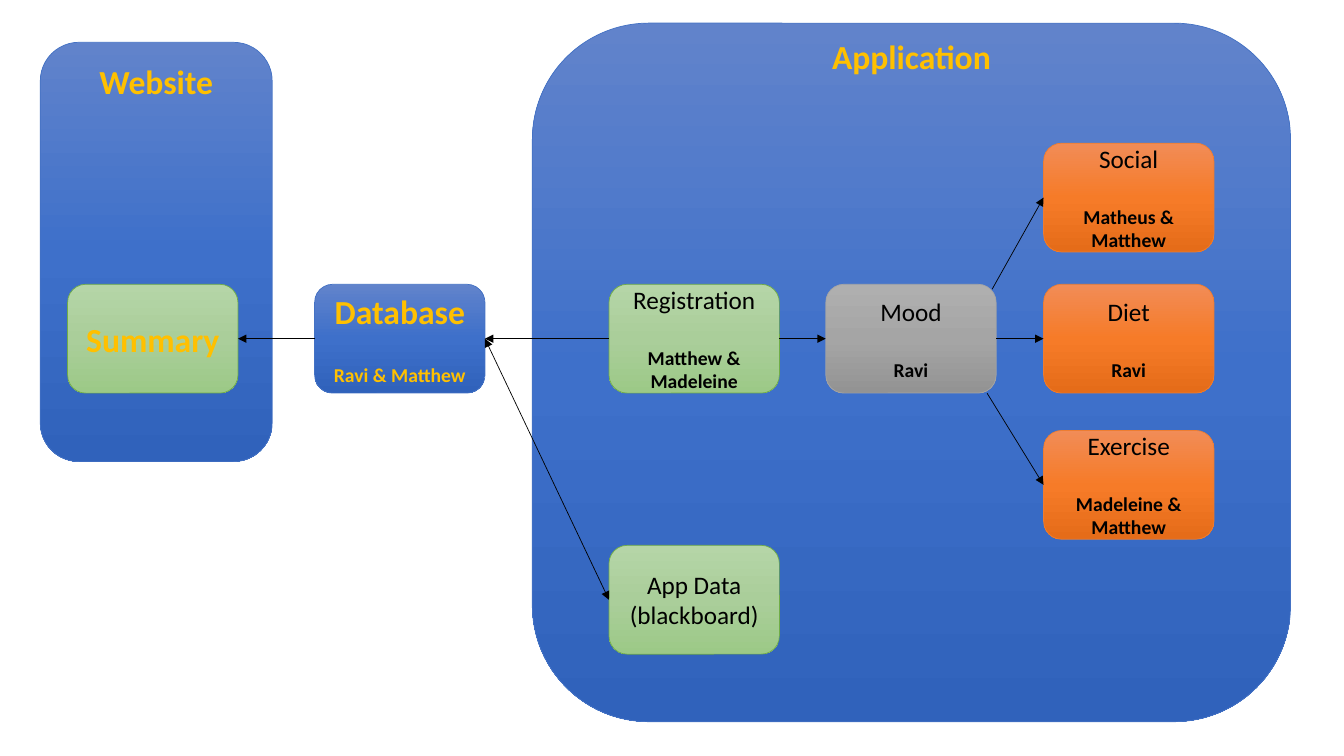
from copy import deepcopy
from dataclasses import dataclass

from lxml.etree import SubElement
from pptx import Presentation
from pptx.dml.color import RGBColor
from pptx.enum.shapes import MSO_CONNECTOR, MSO_SHAPE
from pptx.enum.text import MSO_ANCHOR, PP_ALIGN
from pptx.oxml.ns import qn
from pptx.shapes.autoshape import Shape
from pptx.slide import Slide
from pptx.util import Inches, Pt

BLACK = RGBColor(0x00, 0x00, 0x00)
GOLD = RGBColor(0xFF, 0xC0, 0x00)
CARD_WIDTH, CARD_HEIGHT = 1.69, 1.08
MAIN_ROW = 2.82
SCREEN_COLUMN = 10.35
RIGHT, LEFT = 3, 1


@dataclass(frozen=True)
class Palette:
    stops: tuple[RGBColor, RGBColor, RGBColor]
    border: RGBColor


def palette(top: str, middle: str, bottom: str, border: str) -> Palette:
    stops = tuple(RGBColor.from_string(code) for code in (top, middle, bottom))
    return Palette(stops, RGBColor.from_string(border))


BLUE = palette("6183CB", "3E70CA", "3062BB", "4472C4")
GREEN = palette("B5D5A7", "AACE9A", "9CC987", "70AD47")
GRAY = palette("AFAFAF", "A5A5A5", "939393", "A5A5A5")
ORANGE = palette("F18C57", "F67B28", "E56C19", "ED7D31")


@dataclass(frozen=True)
class Group:
    title: str
    left: float
    top: float
    width: float
    height: float
    title_top: float


@dataclass(frozen=True)
class Card:
    title: str
    left: float
    top: float
    colors: Palette
    owners: str = ""
    subtitle: str = ""
    highlighted: bool = False


@dataclass(frozen=True)
class Arrow:
    """An arrow from the right or left side of one card to a side of another."""
    source: str
    source_side: int
    target: str
    target_side: int
    start: tuple[float, float] | None = None
    both_ways: bool = False


GROUPS = [
    Group("Application", 5.28, 0.23, 7.52, 6.93, 0.36),
    Group("Website", 0.4, 0.42, 2.3, 4.16, 0.6),
]
CARDS = [
    Card("Registration", 6.04, MAIN_ROW, GREEN, "Matthew & Madeleine"),
    Card("Mood", 8.19, MAIN_ROW, GRAY, "Ravi"),
    Card("Diet", SCREEN_COLUMN, MAIN_ROW, ORANGE, "Ravi"),
    Card("Social", SCREEN_COLUMN, 1.42, ORANGE, "Matheus & Matthew"),
    Card("Exercise", SCREEN_COLUMN, 4.27, ORANGE, "Madeleine & Matthew"),
    Card("Database", 3.12, MAIN_ROW, BLUE, "Ravi & Matthew", highlighted=True),
    Card("Summary", 0.67, MAIN_ROW, GREEN, highlighted=True),
    Card("App Data", 6.04, 5.41, GREEN, subtitle="(blackboard)"),
]
ARROWS = [
    Arrow("Database", LEFT, "Summary", RIGHT),
    Arrow("Registration", RIGHT, "Mood", LEFT),
    Arrow("Mood", RIGHT, "Diet", LEFT),
    Arrow("Mood", RIGHT, "Social", LEFT, start=(9.84, 2.87)),
    Arrow("Mood", RIGHT, "Exercise", LEFT, start=(9.79, 3.9)),
    Arrow("Registration", LEFT, "Database", RIGHT),
    Arrow("Database", RIGHT, "App Data", LEFT, both_ways=True),
]


def add_panel(slide: Slide, left: float, top: float, width: float, height: float,
              colors: Palette) -> Shape:
    """Add a rounded rectangle with a vertical three-stop gradient."""
    panel = slide.shapes.add_shape(MSO_SHAPE.ROUNDED_RECTANGLE, Inches(left), Inches(top),
                                   Inches(width), Inches(height))
    panel.shadow.inherit = False
    panel.fill.gradient()
    panel.fill.gradient_angle = 270
    stop_list = panel._element.spPr.find(qn("a:gradFill")).find(qn("a:gsLst"))
    stop_list.insert(1, deepcopy(stop_list[0]))
    for stop, color, position in zip(panel.fill.gradient_stops, colors.stops, (0, 0.5, 1)):
        stop.color.rgb = color
        stop.position = position
    panel.line.color.rgb = colors.border
    panel.line.width = Pt(0.5)
    return panel


def write_lines(holder: Shape, lines: list[tuple[str, int, bool]], color: RGBColor,
                gap: float = 0) -> None:
    """Write centred (text, size, bold) lines, with a gap above each but the first."""
    frame = holder.text_frame
    frame.word_wrap = True
    for index, (text, size, bold) in enumerate(lines):
        paragraph = frame.add_paragraph() if index else frame.paragraphs[0]
        paragraph.text = text
        paragraph.alignment = PP_ALIGN.CENTER
        paragraph.space_before = Pt(gap if index else 0)
        font = paragraph.font
        font.name, font.size, font.bold = "Calibri", Pt(size), bold
        font.color.rgb = color


def add_group(slide: Slide, group: Group) -> None:
    add_panel(slide, group.left, group.top, group.width, group.height, BLUE)
    title = slide.shapes.add_textbox(Inches(group.left), Inches(group.title_top),
                                     Inches(group.width), Inches(0.41))
    title.text_frame.margin_top = title.text_frame.margin_bottom = 0
    write_lines(title, [(group.title, 24, True)], GOLD)


def add_card(slide: Slide, card: Card) -> Shape:
    panel = add_panel(slide, card.left, card.top, CARD_WIDTH, CARD_HEIGHT, card.colors)
    panel.text_frame.vertical_anchor = MSO_ANCHOR.MIDDLE
    lines = [(card.title, 24 if card.highlighted else 18, card.highlighted)]
    if card.subtitle:
        lines.append((card.subtitle, 18, False))
    if card.owners:
        lines.append((card.owners, 14, True))
    write_lines(panel, lines, GOLD if card.highlighted else BLACK, 22 if card.owners else 0)
    return panel


def add_arrow(slide: Slide, arrow: Arrow, panels: dict[str, Shape]) -> None:
    x, y = arrow.start or (0, 0)
    connector = slide.shapes.add_connector(MSO_CONNECTOR.STRAIGHT, Inches(x), Inches(y),
                                           Inches(x), Inches(y))
    if arrow.start is None:
        connector.begin_connect(panels[arrow.source], arrow.source_side)
    connector.end_connect(panels[arrow.target], arrow.target_side)
    connector.line.color.rgb = BLACK
    connector.line.width = Pt(0.5)
    properties = connector._element.spPr
    line = properties.find(qn("a:ln"))
    if arrow.both_ways:
        SubElement(line, qn("a:headEnd"), type="triangle")
    SubElement(line, qn("a:tailEnd"), type="triangle")
    SubElement(properties, qn("a:effectLst"))


def main() -> None:
    presentation = Presentation()
    presentation.slide_width = Inches(13.33)
    presentation.slide_height = Inches(7.5)
    slide = presentation.slides.add_slide(presentation.slide_layouts[6])
    for group in GROUPS:
        add_group(slide, group)
    panels = {card.title: add_card(slide, card) for card in CARDS}
    for arrow in ARROWS:
        add_arrow(slide, arrow, panels)
    presentation.save("out.pptx")


if __name__ == "__main__":
    main()
